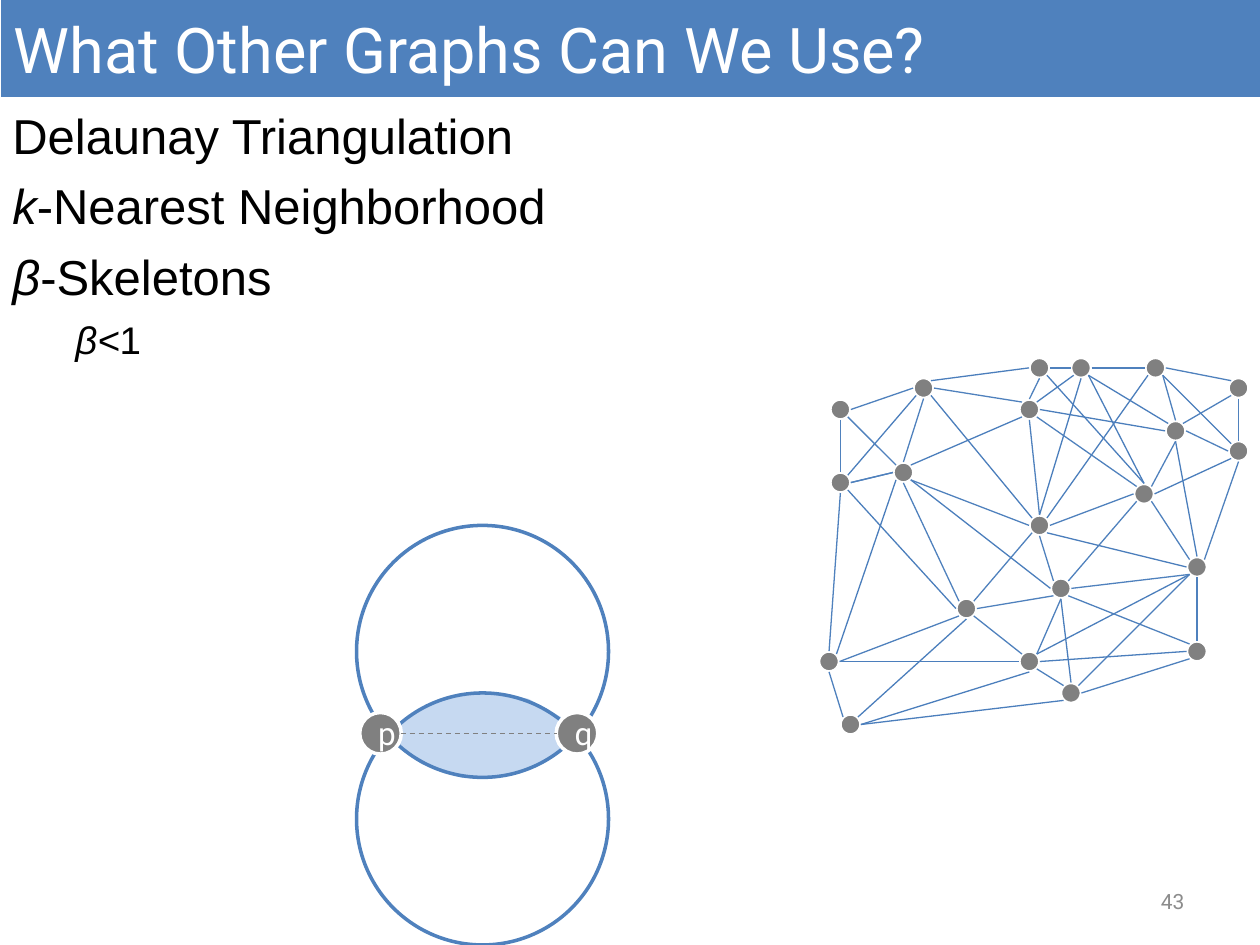
from math import cos, radians, sin

from lxml.etree import SubElement
from pptx import Presentation
from pptx.dml.color import RGBColor
from pptx.enum.dml import MSO_LINE_DASH_STYLE as Dash
from pptx.enum.shapes import MSO_CONNECTOR as Connector, MSO_SHAPE as Shape
from pptx.enum.text import MSO_ANCHOR as Anchor, PP_ALIGN as Align
from pptx.oxml.ns import qn
from pptx.util import Inches, Pt

COLORS = {"blue": "4F81BD", "edge": "4B7EBC", "lens": "C6D9F1", "gray": "808080",
          "number": "8C8C8C", "white": "FFFFFF", "black": "000000"}

# Centres of the graph nodes
NODES = {
    "a": (6.67, 3.25), "b": (7.33, 3.08), "c": (8.25, 2.92), "d": (8.58, 2.92),
    "e": (9.17, 2.92), "f": (9.83, 3.08), "g": (9.33, 3.42), "h": (9.83, 3.58),
    "i": (8.17, 3.25), "j": (7.17, 3.75), "k": (6.67, 3.83), "l": (9.08, 3.92),
    "m": (8.25, 4.17), "n": (9.5, 4.5), "o": (8.42, 4.67), "p": (7.67, 4.83),
    "q": (6.58, 5.25), "r": (8.17, 5.25), "s": (9.5, 5.17), "t": (8.5, 5.5),
    "u": (6.75, 5.75)}
NODE_RADIUS = 0.083

# Each edge end is a node letter followed by the compass side it touches
SKELETON_EDGES = """
    jW-kE kNE-bSW kSE-pW qE-rW qNE-jSW uNE-pS uE-rS uE-tSW bNE-cW
    bSE-mNW jNE-iSW jSE-oW cSE-lN iNE-dSW iE-gW rE-sW rNE-nSW mN-dS
    mSE-nW mNE-eSW oS-tN tNE-nSW gS-nN lE-hSW dSE-lN dSE-gNW eSE-hNW"""
DELAUNAY_EDGES = """
    aS-kN aE-bW aSE-jNW jW-kE kS-qN uNW-qS pSW-qE bS-jN bE-iNW mW-jSE
    jS-pNW dW-cE cS-iN iS-mN iSE-lNW pSE-rNW oSW-pE mSW-pNE rSE-tNW
    oS-rNE mS-oNW mE-lW oNE-lSW nSW-oE oSE-sNW tE-sSW nS-sN lSE-nNW
    hS-nNE gS-lNE dE-eW eSE-gN eE-fNW gE-hW fSW-gNE fS-hN"""
SIDES = ["E", "SE", "S", "SW", "W", "NW", "N", "NE"]

LENS = [(3.03, 5.79), (3.17, 5.75), (3.45, 5.59), (3.68, 5.52), (3.92, 5.51),
        (4.19, 5.56), (4.44, 5.7), (4.55, 5.81), (4.45, 5.95), (4.26, 6.07),
        (4.01, 6.15), (3.67, 6.16), (3.35, 6.05)]

# Indent level and (text, italic) runs of each body line
BODY = [
    (0, [("Delaunay Triangulation", False)]),
    (0, [("k", True), ("-Nearest Neighborhood", False)]),
    (0, [("β", True), ("-Skeletons", False)]),
    (1, [("β<", True), ("1", False)])]


def rgb(name):
    return RGBColor.from_string(COLORS[name])


def anchor_point(end):
    center_x, center_y = NODES[end[0]]
    angle = radians(45 * SIDES.index(end[1:]))
    return center_x + NODE_RADIUS * cos(angle), center_y + NODE_RADIUS * sin(angle)


class Painter:
    def __init__(self, page):
        self.shapes = page.shapes

    def paint(self, shape, fill=None, line=None):
        shape.shadow.inherit = False
        if fill:
            shape.fill.solid()
            shape.fill.fore_color.rgb = rgb(fill)
        else:
            shape.fill.background()
        if line:
            shape.line.color.rgb = rgb(line)
            shape.line.width = Pt(2)
        else:
            shape.line.fill.background()
        return shape

    def preset(self, kind, left, top, width, height, fill=None, line=None):
        shape = self.shapes.add_shape(
            kind, Inches(left), Inches(top), Inches(width), Inches(height))
        return self.paint(shape, fill, line)

    def circle(self, center_x, center_y, radius, fill=None, line=None):
        return self.preset(Shape.OVAL, center_x - radius, center_y - radius,
                           2 * radius, 2 * radius, fill, line)

    def polygon(self, points, fill):
        corners = [(Inches(x), Inches(y)) for x, y in points]
        builder = self.shapes.build_freeform(*corners[0])
        builder.add_line_segments(corners[1:], close=True)
        return self.paint(builder.convert_to_shape(), fill, fill)

    def segment(self, start, end, color, dash=None):
        line = self.shapes.add_connector(
            Connector.STRAIGHT, *(Inches(value) for value in (*start, *end)))
        line.line.color.rgb = rgb(color)
        line.line.width = Pt(0.75)
        if dash:
            line.line.dash_style = dash
        SubElement(line._element.spPr, qn("a:effectLst"))

    def edges(self, listing, color):
        for edge in listing.split():
            start, end = edge.split("-")
            self.segment(anchor_point(start), anchor_point(end), color)

    def text_box(self, left, top, width, height):
        box = self.shapes.add_textbox(
            Inches(left), Inches(top), Inches(width), Inches(height))
        box.text_frame.word_wrap = True
        return box

    def style(self, span, size, color, font="Roboto", italic=False):
        span.font.size = Pt(size)
        span.font.name = font
        span.font.italic = italic
        span.font.color.rgb = rgb(color)

    def label(self, box, text, size, color="white", align=Align.CENTER):
        frame = box.text_frame
        frame.text = text
        frame.vertical_anchor = Anchor.MIDDLE
        para = frame.paragraphs[0]
        para.alignment = align
        self.style(para.runs[0], size, color)

    def body(self, lines, left, top, width, height):
        frame = self.text_box(left, top, width, height).text_frame
        for index, (level, spans) in enumerate(lines):
            para = frame.add_paragraph() if index else frame.paragraphs[0]
            properties = para._p.get_or_add_pPr()
            properties.set("marL", str(Inches(0.38 + 0.5 * level)))
            properties.set("indent", str(Inches(-0.38)))
            para.level = level
            if index:
                para.space_before = Pt(6.5)
            for text, italic in spans:
                span = para.add_run()
                span.text = text
                self.style(span, 22 if level else 28, "black", "Arial", italic)


def main():
    deck = Presentation()
    deck.slide_width, deck.slide_height = Inches(10), Inches(7.5)
    painter = Painter(deck.slides.add_slide(deck.slide_layouts[6]))

    # Lens shared by the two circles
    painter.polygon(LENS, "lens")

    # Skeleton graph
    for center in NODES.values():
        painter.circle(*center, NODE_RADIUS, "gray", "white")
    painter.edges(SKELETON_EDGES, "edge")

    # Circles through p and q
    for center_y in (6.5, 5.17):
        painter.circle(3.83, center_y, 1, line="blue")

    # Body text
    painter.body(BODY, 0, 0.79, 10, 2.11)

    # Points p and q
    for name, center_x in (("p", 3.02), ("q", 4.58)):
        point = painter.circle(center_x, 5.82, 0.165, "gray", "white")
        painter.label(point, name, 18)

    # Remaining graph edges and the dashed span from p to q
    painter.edges(DELAUNAY_EDGES, "blue")
    painter.segment((3.18, 5.82), (4.42, 5.82), "gray", Dash.DASH)

    # Page number and title bar
    painter.label(painter.text_box(7.17, 6.95, 2.33, 0.4), "43", 12, "number", Align.RIGHT)
    title = painter.preset(Shape.RECTANGLE, 0.01, 0, 10, 0.77, "blue")
    painter.label(title, "What Other Graphs Can We Use?", 36, align=Align.LEFT)

    deck.save("out.pptx")


if __name__ == "__main__":
    main()
